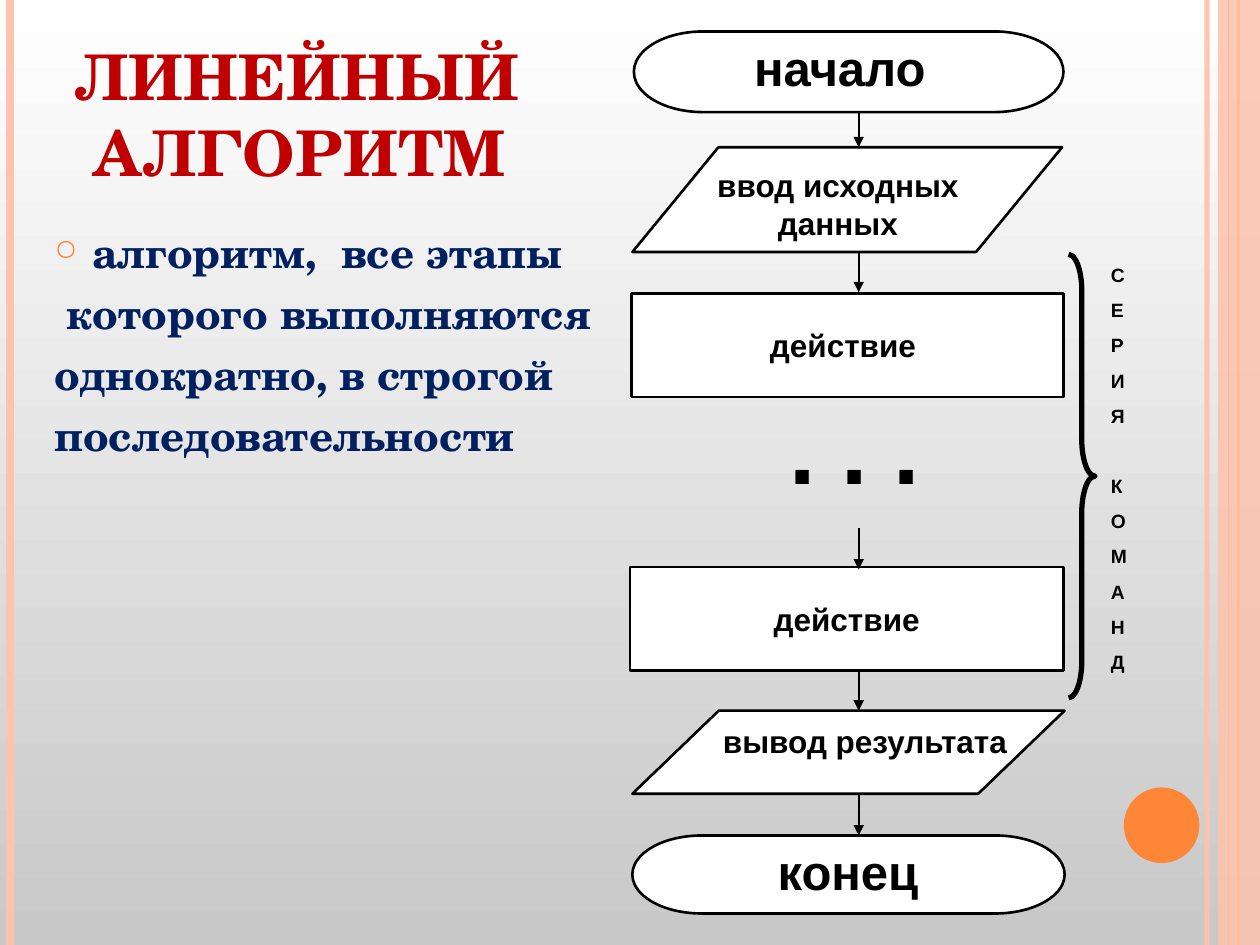
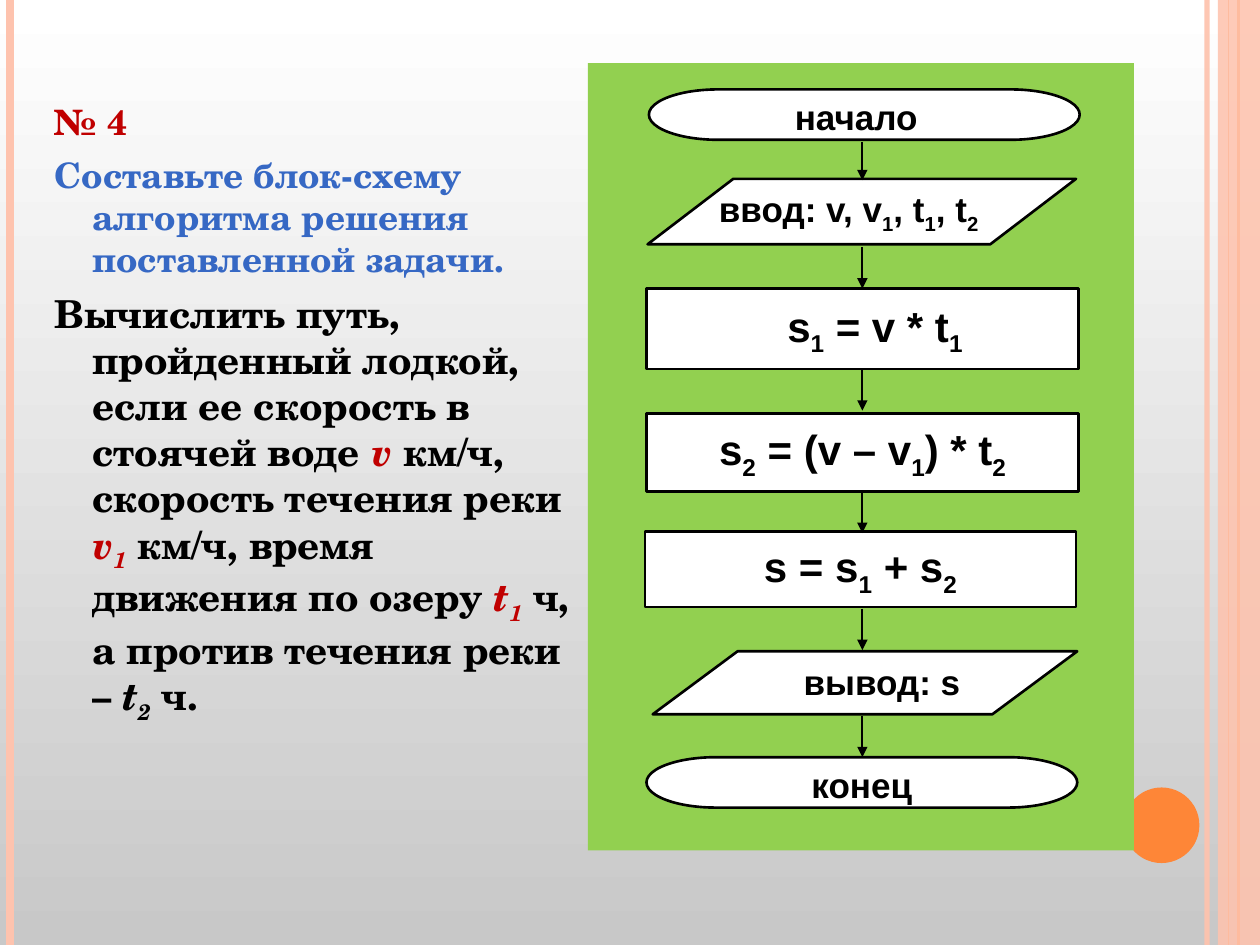
"""Build two slides on linear algorithms with their flowcharts."""
import dataclasses
import typing

import lxml.etree
import pptx
import pptx.dml.color
import pptx.enum.dml
import pptx.enum.shapes
import pptx.enum.text
import pptx.oxml
import pptx.oxml.ns
import pptx.util

Pt = pptx.util.Pt
Form = pptx.enum.shapes.MSO_SHAPE
Align = pptx.enum.text.PP_ALIGN
Anchor = pptx.enum.text.MSO_ANCHOR
qn = pptx.oxml.ns.qn

WIDE, HIGH = 720, 540
SANS, SERIF = "Arial", "TeX Gyre Schola"
BLACK, WHITE, RED, NAVY, BLUE = "000000", "FFFFFF", "C00000", "002060", "3668C4"
PEACH, ORANGE, GREEN = "FEC3AE", "FE8637", "92D050"
HANG = 21.6

Box = tuple[float, float, float, float]


@dataclasses.dataclass
class Run:
    """Text in one style, where a mark "_" lowers the next sign."""

    text: str
    size: float
    tint: str = BLACK
    face: str = SANS
    slant: bool = False


@dataclasses.dataclass
class Para:
    """A paragraph of runs."""

    runs: list[Run]
    align: typing.Any = Align.LEFT
    above: float = 0
    left: float = 0
    hang: float = 0
    dot: bool = False


@dataclasses.dataclass
class Node:
    """A flowchart block with its label, which may have its own box."""

    form: typing.Any
    box: Box
    text: str
    size: float
    label: Box | None = None
    left: float = 0


@dataclasses.dataclass
class Line:
    """An upright line of the frame."""

    x: float
    width: float
    tint: str
    alpha: int = 100


FRAME = [Line(689.8, 3, PEACH, 93), Line(5.9, 4.5, PEACH), Line(707.8, 1.5, ORANGE), Line(702, 0.75, ORANGE)]

BASIC = [
    Node(Form.FLOWCHART_DATA, (361.4, 84.2, 245.5, 59.8), "ввод исходных данных", 18, (392.4, 91.4, 172.8, 50.4)),
    Node(Form.FLOWCHART_TERMINATOR, (362.2, 18, 245.5, 46.1), "начало", 28, (388.8, 18, 182.2, 41)),
    Node(Form.FLOWCHART_DATA, (361.4, 406.1, 247, 47.5), "вывод результата", 18, (398.2, 409, 192.2, 28.8)),
    Node(Form.FLOWCHART_TERMINATOR, (361.4, 477.4, 247, 44.6), "конец", 28, (416.2, 477.4, 136.8, 41)),
    Node(Form.FLOWCHART_PROCESS, (360, 324, 247.7, 59), "действие", 18),
    Node(Form.FLOWCHART_PROCESS, (360.7, 167.8, 247, 59), "действие ", 18),
]
BASIC_STEPS = [(63.4, 84.2), (143.3, 167), (301.7, 325.4), (382.3, 406.1), (453.6, 477.4)]

BOAT = [
    Node(Form.FLOWCHART_TERMINATOR, (370.8, 51.1, 246.2, 28.8), "начало", 20, (398.2, 51.1, 182.2, 31.7)),
    Node(Form.FLOWCHART_DATA, (370.1, 102.2, 244.8, 37.4), "ввод: v, v_1, t_1, t_2", 20, (398.9, 103.7, 172.1, 34.6)),
    Node(Form.FLOWCHART_DATA, (373, 372.2, 242.6, 36), "вывод: s", 20, (409.7, 373.7, 188.6, 31.7)),
    Node(Form.FLOWCHART_TERMINATOR, (369.4, 432.7, 246.2, 28.8), "конец", 20, (424.1, 432.7, 136.8, 31.7)),
    Node(Form.RECTANGLE, (369.4, 164.9, 247, 46.1), "s_1 = v * t_1", 24, left=73.4),
    Node(Form.FLOWCHART_PROCESS, (369.4, 236.2, 247, 44.6), "s_2 = (v – v_1) * t_2", 24),
    Node(Form.FLOWCHART_PROCESS, (368.6, 303.8, 246.2, 43.2), "s = s_1 + s_2", 24),
]
BOAT_STEPS = [(81.4, 103), (141.1, 164.9), (211, 234.7), (280.8, 304.6), (347.8, 371.5), (409, 432.7)]


def hue(code: str) -> pptx.dml.color.RGBColor:
    """Turn a hex string into a colour."""
    return pptx.dml.color.RGBColor.from_string(code)


def fade(item: typing.Any, alpha: int) -> None:
    """Set the opacity, in percent, of the first colour of a shape."""
    if alpha < 100:
        tint = next(item._element.spPr.iter(qn("a:srgbClr")))
        lxml.etree.SubElement(tint, qn("a:alpha")).set("val", str(alpha * 1000))


def rule(slide: typing.Any, x: float, top: float, end: float, width: float, tint: str) -> typing.Any:
    """Draw an upright line without a shadow."""
    line = slide.shapes.add_connector(pptx.enum.shapes.MSO_CONNECTOR.STRAIGHT, Pt(x), Pt(top), Pt(x), Pt(end))
    line.line.width = Pt(width)
    line.line.color.rgb = hue(tint)
    lxml.etree.SubElement(line._element.spPr, qn("a:effectLst"))
    return line


def arrow(slide: typing.Any, x: float, top: float, end: float) -> None:
    """Draw an arrow that points down."""
    line = rule(slide, x, top, end, 1, BLACK)
    lxml.etree.SubElement(line.line._get_or_add_ln(), qn("a:tailEnd")).set("type", "triangle")


def block(slide: typing.Any, form: typing.Any, box: Box, fill: str | None, edge: str | None = None,
          width: float = 1.5) -> typing.Any:
    """Draw a preset shape with a plain fill and edge."""
    item = slide.shapes.add_shape(form, *map(Pt, box))
    item.shadow.inherit = False
    if fill:
        item.fill.solid()
        item.fill.fore_color.rgb = hue(fill)
    else:
        item.fill.background()
    if edge:
        item.line.color.rgb = hue(edge)
        item.line.width = Pt(width)
    else:
        item.line.fill.background()
    return item


def add_run(par: typing.Any, run: Run) -> None:
    """Add a run, with its lowered signs as runs of their own."""
    first, *rest = run.text.split("_")
    parts = [(first, False)]
    for part in rest:
        parts += [(part[:1], True), (part[1:], False)]
    for text, low in parts:
        if not text:
            continue
        piece = par.add_run()
        piece.text = text
        font = piece.font
        font.name, font.size, font.bold, font.italic = run.face, Pt(run.size), True, run.slant
        font.color.rgb = hue(run.tint)
        if low:
            piece._r.get_or_add_rPr().set("baseline", "-25000")


def add_dot(props: typing.Any) -> None:
    """Give a paragraph a small round bullet."""
    tint = lxml.etree.SubElement(props, qn("a:buClr"))
    lxml.etree.SubElement(tint, qn("a:srgbClr")).set("val", ORANGE)
    lxml.etree.SubElement(props, qn("a:buSzPct")).set("val", "70000")
    lxml.etree.SubElement(props, qn("a:buChar")).set("char", "○")


def write(frame: typing.Any, paras: list[Para], anchor: typing.Any = Anchor.TOP, wrap: bool = True) -> None:
    """Fill a text frame with paragraphs."""
    frame.word_wrap = wrap
    frame.vertical_anchor = anchor
    for i, para in enumerate(paras):
        par = frame.add_paragraph() if i else frame.paragraphs[0]
        par.alignment = para.align
        par.space_before = Pt(para.above)
        props = par._p.get_or_add_pPr()
        props.set("marL", str(Pt(para.left)))
        props.set("indent", str(Pt(-para.hang)))
        if para.dot:
            add_dot(props)
        for run in para.runs:
            add_run(par, run)


def note(slide: typing.Any, box: Box, paras: list[Para], anchor: typing.Any = Anchor.TOP) -> None:
    """Add a text box."""
    write(slide.shapes.add_textbox(*map(Pt, box)).text_frame, paras, anchor)


def chart(slide: typing.Any, nodes: list[Node], x: float, steps: list[tuple[float, float]]) -> None:
    """Draw the blocks of a flowchart and the arrows between them."""
    for node in nodes:
        item = block(slide, node.form, node.box, WHITE, BLACK)
        align = Align.LEFT if node.left else Align.CENTER
        paras = [Para([Run(node.text, node.size)], align, left=node.left)]
        if node.label:
            note(slide, node.label, paras)
        else:
            write(item.text_frame, paras, Anchor.MIDDLE, node.left > 0)
    for top, end in steps:
        arrow(slide, x, top, end)


def start(deck: typing.Any) -> typing.Any:
    """Add a slide with the shared backdrop and frame."""
    slide = deck.slides.add_slide(deck.slide_layouts[6])
    fill = slide.background.fill
    fill.gradient()
    fill.gradient_angle = 90
    for stop, tint, place in zip(fill.gradient_stops, ("C8C8C8", WHITE), (0, 1)):
        stop.color.rgb = hue(tint)
        stop.position = place
    for line in FRAME:
        fade(rule(slide, line.x, 0, HIGH, line.width, line.tint), line.alpha)
    fade(block(slide, Form.RECTANGLE, (696, 0, 24, HIGH), PEACH), 87)
    block(slide, Form.OVAL, (642.2, 450, 43.2, 43.2), ORANGE)
    return slide


def body(runs: list[Run], dot: bool = False) -> Para:
    """Make a hanging paragraph of body text."""
    return Para(runs, above=6, left=HANG, hang=HANG, dot=dot)


def theory(deck: typing.Any) -> None:
    """Build the slide that defines the linear algorithm."""
    slide = start(deck)
    title = [Para([Run(text, 36, RED, SERIF)]) for text in ("ЛИНЕЙНЫЙ", " АЛГОРИТМ")]
    note(slide, (36, 21.6, 324, 90), title, Anchor.BOTTOM)
    lines = ["алгоритм,  все этапы", " которого выполняются", "однократно, в строгой", "последовательности"]
    note(slide, (24, 126, 336, 360), [body([Run(text, 24, NAVY, SERIF)], not i) for i, text in enumerate(lines)])
    chart(slide, BASIC, 490.7, BASIC_STEPS)
    note(slide, (428.4, 219.6, 120.2, 72), [Para([Run(". . .", 54)], Align.CENTER)])
    brace = block(slide, Form.RIGHT_BRACE, (610.6, 145.4, 15.1, 253.4), None, BLACK, 3)
    brace.adjustments[0] = 1.38
    letters = [Para([Run(sign, 11)], above=27 if word and not i else 6.9)
               for word, text in enumerate(("СЕРИЯ", "КОМАНД")) for i, sign in enumerate(text)]
    note(slide, (627.8, 146.9, 31.7, 262), letters)


def task(deck: typing.Any) -> None:
    """Build the slide with the boat problem."""
    slide = start(deck)

    def plain(text: str) -> Run:
        return Run(text, 22, BLACK, SERIF)

    def sign(text: str, tint: str = RED) -> Run:
        return Run(text, 22, tint, SERIF, True)

    note(slide, (24, 54, 312, 432), [
        body([Run("№ 4", 20, RED, SERIF)]),
        body([Run("Составьте блок-схему алгоритма решения поставленной задачи.", 20, BLUE, SERIF)]),
        body([
            plain("Вычислить путь, пройденный лодкой, если ее скорость в стоячей воде "), sign("v "),
            plain("км/ч, скорость течения реки "), sign("v_1"),
            plain(" км/ч, время движения по озеру "), sign("t_1 "),
            plain("ч, а против течения реки – "), sign("t_2 ", BLACK), plain("ч."),
        ]),
    ])
    block(slide, Form.RECTANGLE, (336, 36, 312, 450), GREEN)
    chart(slide, BOAT, 492.8, BOAT_STEPS)


def main() -> None:
    """Build and save the deck."""
    deck = pptx.Presentation()
    deck.slide_width, deck.slide_height = Pt(WIDE), Pt(HIGH)
    theory(deck)
    task(deck)
    deck.save("out.pptx")


if __name__ == "__main__":
    main()
